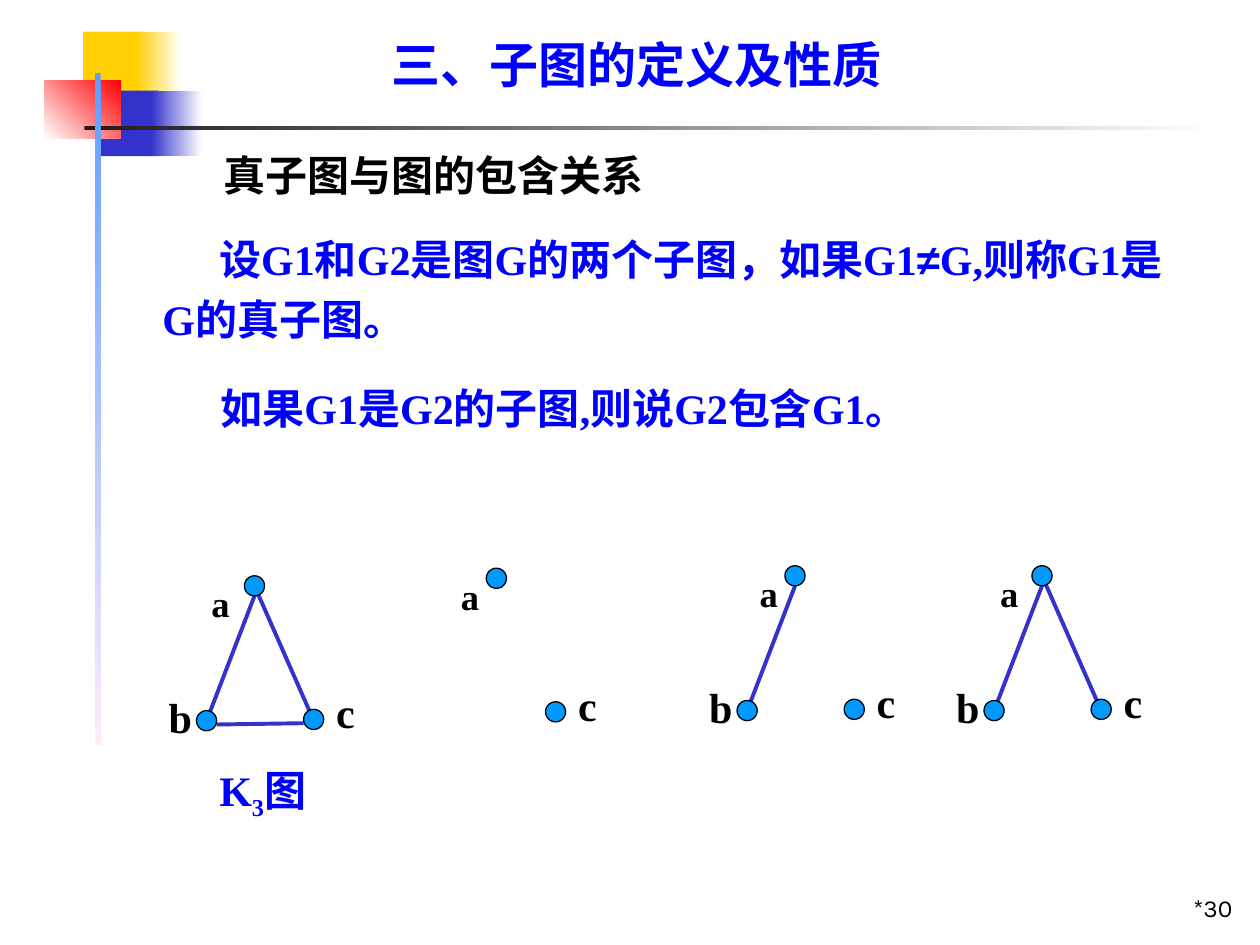
"""Build a slide on proper subgraphs and the inclusion of graphs."""
from lxml import etree
from pptx import Presentation
from pptx.dml.color import RGBColor
from pptx.enum.shapes import MSO_CONNECTOR, MSO_SHAPE
from pptx.enum.text import MSO_ANCHOR, PP_ALIGN
from pptx.oxml.ns import qn
from pptx.util import Inches, Pt

RECT, OVAL, STRAIGHT = MSO_SHAPE.RECTANGLE, MSO_SHAPE.OVAL, MSO_CONNECTOR.STRAIGHT
TOP, BOTTOM = MSO_ANCHOR.TOP, MSO_ANCHOR.BOTTOM
LEFT, RIGHT = PP_ALIGN.LEFT, PP_ALIGN.RIGHT

WHITE = RGBColor(0xFF, 0xFF, 0xFF)
BLACK = RGBColor(0x00, 0x00, 0x00)
CHARCOAL = RGBColor(0x1C, 0x1C, 0x1C)
YELLOW = RGBColor(0xFF, 0xCF, 0x01)
RED = RGBColor(0xFF, 0x00, 0x00)
INDIGO = RGBColor(0x33, 0x33, 0xCC)
SKY = RGBColor(0x5E, 0x9E, 0xFF)
PINK = RGBColor(0xFF, 0xEB, 0xFA)
BLUE = RGBColor(0x00, 0x00, 0xFF)
NODE = RGBColor(0x00, 0x99, 0xFF)

SERIF = "Times New Roman"
BODY = {"name": SERIF, "size": Pt(24), "bold": True}
TITLE = {**BODY, "size": Pt(28)}
SUBSCRIPT_LABEL = {**BODY, "size": Pt(36)}
NUMBER = {"name": "Karla", "size": Pt(14), "bold": False}

DECOR = [
    ((0.66, 0.25, 0.48, 0.52), (YELLOW,), 0),
    ((1.08, 0.25, 0.36, 0.52), (YELLOW, WHITE), 0),
    ((0.8, 0.72, 0.46, 0.52), (INDIGO,), 0),
    ((1.2, 0.72, 0.4, 0.52), (INDIGO, WHITE), 0),
    ((0.35, 0.64, 0.61, 0.46), (WHITE, RED), 45),
    ((0.67, 1, 9, 0.03), (CHARCOAL, WHITE), 0),
    ((0.75, 0.58, 0.05, 5.33), (SKY, PINK), 270),
]

DIAMETER = 0.16
VERTICES = {"a": (0, 0), "b": (-0.38, 1.07), "c": (0.47, 1.06)}
EDGES = {
    "ab": ((0.08, 0.16), (-0.3, 1.15)),
    "ac": ((0.08, 0.08), (0.55, 1.15)),
    "bc": ((-0.22, 1.18), (0.47, 1.17)),
}
LABELS = {"b": (-0.7, 0.87, 0.39, 0.5), "c": (0.63, 0.83, 0.35, 0.5)}
GRAPHS = [
    (1.94, 4.57, "abc", ("ab", "ac", "bc"), -0.36),
    (3.86, 4.51, "ac", (), -0.3),
    (6.23, 4.49, "abc", ("ab",), -0.3),
    (8.19, 4.49, "abc", ("ab", "ac"), -0.35),
]


class SlideBuilder:
    """Hold the text style and the current slide."""

    def __init__(self, s, style):
        self.s = s
        self.style = style

    def fill_text(self, tf, runs, color=BLACK, style=None, margins=(0, 0), indent=(0, 0),
                  spacing=0.9, align=LEFT, anchor=TOP):
        tf.word_wrap = True
        tf.vertical_anchor = anchor
        tf.margin_left = tf.margin_right = Inches(margins[0])
        tf.margin_top = tf.margin_bottom = Inches(margins[1])
        p = tf.paragraphs[0]
        p.alignment = align
        p.line_spacing = spacing
        p.space_before = Pt(0)
        pPr = p._p.get_or_add_pPr()
        for key, value in zip(("marL", "indent"), indent):
            pPr.set(key, str(Inches(value)))
        for text, extra, baseline in runs:
            r = p.add_run()
            r.text = text
            for key, value in {**(style or self.style), **extra}.items():
                setattr(r.font, key, value)
            r.font.color.rgb = color
            if baseline:
                r._r.get_or_add_rPr().set("baseline", str(baseline * 1000))

    def title(self, text, box):
        sp = self.s.shapes.title
        sp.left, sp.top, sp.width, sp.height = map(Inches, box)
        self.fill_text(sp.text_frame, [(text, {}, 0)], BLUE, TITLE)

    def text(self, box, runs, parent=None, **fmt):
        sp = (parent or self.s).shapes.add_textbox(*map(Inches, box))
        self.fill_text(sp.text_frame, runs, **fmt)

    def shape(self, kind, box, colors, angle=0, outline=None, parent=None):
        sp = (parent or self.s).shapes.add_shape(kind, *map(Inches, box))
        sp.shadow.inherit = False
        if len(colors) == 1:
            sp.fill.solid()
            sp.fill.fore_color.rgb = colors[0]
        else:
            sp.fill.gradient()
            sp.fill.gradient_angle = angle
            for stop, color in zip(sp.fill.gradient_stops, colors):
                stop.color.rgb = color
        if outline is None:
            sp.line.fill.background()
        else:
            sp.line.color.rgb = outline
            sp.line.width = Pt(0.75)

    def edge(self, start, end, parent):
        cxn = parent.shapes.add_connector(STRAIGHT, *map(Inches, (*start, *end)))
        cxn.line.color.rgb = INDIGO
        cxn.line.width = Pt(2.25)
        etree.SubElement(cxn._element.spPr, qn("a:effectLst"))

    def graph(self, x, y, vertices, edges, label_dx):
        group = self.s.shapes.add_group_shape()
        for name in edges:
            self.edge(*[(x + dx, y + dy) for dx, dy in EDGES[name]], group)
        for name in vertices:
            dx, dy = VERTICES[name]
            self.shape(OVAL, (x + dx, y + dy, DIAMETER, DIAMETER), (NODE,),
                       outline=BLACK, parent=group)
        labels = {"a": (label_dx, -0.34, 0.37, 0.79), **LABELS}
        for name in vertices:
            dx, dy, w, h = labels[name]
            low = name == "a"
            self.text((x + dx, y + dy, w, h), [(name, {}, -25 if low else 0)], group,
                      style=SUBSCRIPT_LABEL if low else BODY,
                      margins=(0.1, 0.05), spacing=1.0)


def main():
    prs = Presentation()
    prs.slide_width, prs.slide_height = Inches(10), Inches(7.5)
    b = SlideBuilder(prs.slides.add_slide(prs.slide_layouts[5]), BODY)
    for box, colors, angle in DECOR:
        b.shape(RECT, box, colors, angle)
    b.title("三、子图的定义及性质", (3.11, 0.33, 4.17, 0.42))
    b.text((1.77, 1.23, 3.65, 0.36), [("真子图与图的包含关系", {}, 0)])
    b.text((0.91, 1.77, 8.43, 0.96),
           [("设G1和G2是图G的两个子图，如果G1", {}, 0), ("≠", {"name": "Arial"}, 0),
            ("G,则称G1是G的真子图。", {}, 0)],
           color=BLUE, indent=(0.38, 0.45), spacing=1.2)
    b.text((1.46, 3.08, 7.01, 0.36), [("如果G1是G2的子图,则说G2包含G1。", {}, 0)],
           color=BLUE, indent=(0, 0.29))
    for graph in GRAPHS:
        b.graph(*graph)
    b.text((1.74, 6.07, 0.71, 0.77), [("K", {}, 0), ("3", {}, -25), ("图", {}, 0)],
           color=BLUE, indent=(0.38, -0.38))
    b.text((7.8, 6.87, 2.08, 0.5), [("*30", {}, 0)], style=NUMBER,
           margins=(0.1, 0.05), spacing=1.0, align=RIGHT, anchor=BOTTOM)
    prs.save("out.pptx")


if __name__ == "__main__":
    main()
